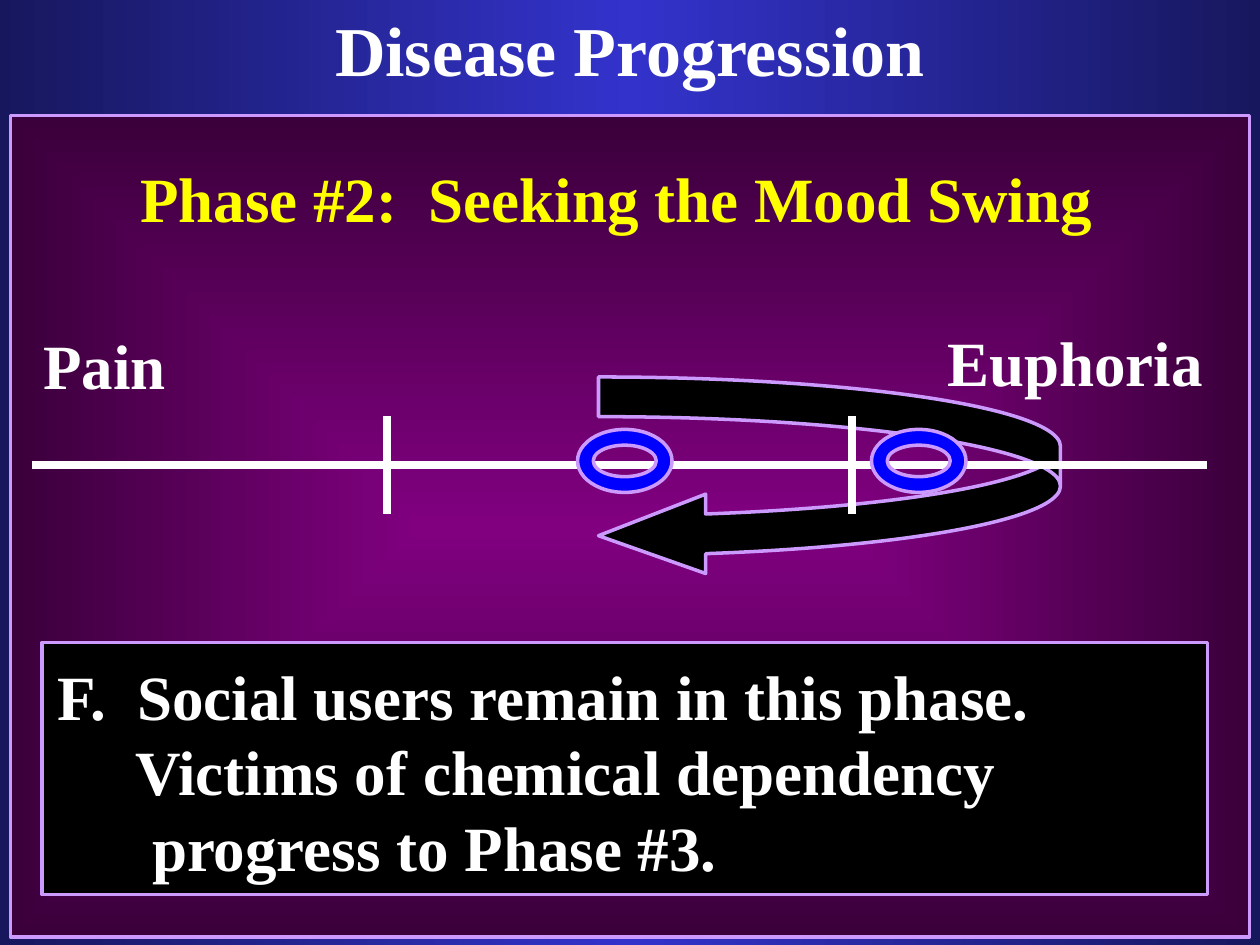
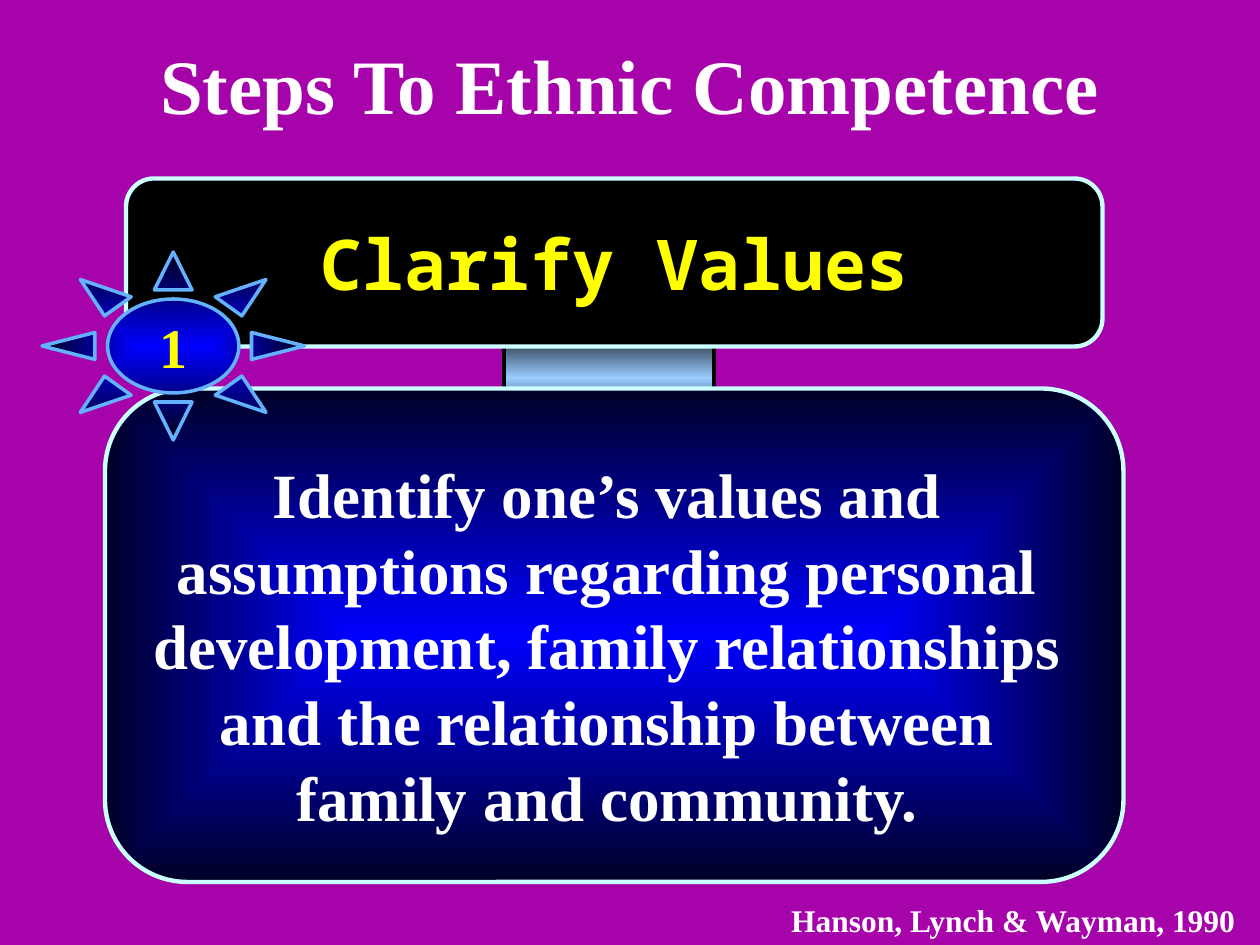
"""Build two training slides: disease progression and ethnic competence."""
from lxml.etree import SubElement
from pptx import Presentation
from pptx.dml.color import RGBColor
from pptx.enum.shapes import MSO_CONNECTOR, MSO_SHAPE
from pptx.enum.text import MSO_ANCHOR, PP_ALIGN
from pptx.oxml.ns import qn
from pptx.util import Inches, Pt

COLS, ROWS = 120, 90
WIDTH, HEIGHT = Inches(10), Inches(7.5)
SERIF, MONO = "Times New Roman", "Noto Sans Mono"
COLORS = {
    "white": "FFFFFF", "yellow": "FFFF00", "black": "000000", "blue": "0000FF",
    "navy": "17175E", "royal": "3333CC", "purple": "800080", "plum": "3B003B",
    "lilac": "CC99FF", "magenta": "A603AB", "ice": "CCFFFF", "sky": "99CCFF",
    "midnight": "000026", "ink": "000016", "azure": "63B1FF",
}


def rgb(name):
    """Return a named colour."""
    return RGBColor.from_string(COLORS[name])


def col(n):
    """Convert grid columns to a length."""
    return round(n * WIDTH / COLS)


def row(n):
    """Convert grid rows to a length."""
    return round(n * HEIGHT / ROWS)


def place(left, top, width, height):
    """Convert a grid box to lengths."""
    return col(left), row(top), col(width), row(height)


def set_gradient(owner, fill, names, angle=None):
    """Spread colours evenly, along an angle or outward from the centre."""
    fill.gradient()
    grad = owner.element.find(".//" + qn("a:gradFill"))
    for child in list(grad):
        grad.remove(child)
    stops = SubElement(grad, qn("a:gsLst"))
    for i, name in enumerate(names):
        pos = 100000 * i // (len(names) - 1)
        stop = SubElement(stops, qn("a:gs"), pos=str(pos))
        SubElement(stop, qn("a:srgbClr"), val=COLORS[name])
    if angle is None:
        centre = SubElement(grad, qn("a:path"), path="rect")
        SubElement(centre, qn("a:fillToRect"), dict.fromkeys("ltrb", "50000"))
    else:
        SubElement(grad, qn("a:lin"), ang=str(angle * 60000), scaled="0")


def write(sp, lines, size, color="white", font=SERIF, align=PP_ALIGN.CENTER,
          anchor=MSO_ANCHOR.MIDDLE, wrap=False):
    """Write bold paragraphs into a shape."""
    tf = sp.text_frame
    tf.word_wrap = wrap
    tf.vertical_anchor = anchor
    for i, line in enumerate(lines):
        p = tf.paragraphs[0] if i == 0 else tf.add_paragraph()
        p.text, p.alignment = line, align
        p.font.name, p.font.size, p.font.bold = font, Pt(size), True
        p.font.color.rgb = rgb(color)
    return tf


def add_text(slide, box, lines, size, **style):
    """Add a text box."""
    return write(slide.shapes.add_textbox(*place(*box)), lines, size, **style)


def add_figure(slide, kind, box, fill, line, weight=2, angle=None, adjust=()):
    """Add an outlined shape with a plain fill or a gradient."""
    sp = slide.shapes.add_shape(kind, *place(*box))
    sp.shadow.inherit = False
    if isinstance(fill, str):
        sp.fill.solid()
        sp.fill.fore_color.rgb = rgb(fill)
    else:
        set_gradient(sp, sp.fill, fill, angle)
    sp.line.color.rgb, sp.line.width = rgb(line), Pt(weight)
    for i, value in enumerate(adjust):
        sp.adjustments[i] = value
    return sp


def add_rule(slide, x1, y1, x2, y2):
    """Add a thick white straight line."""
    line = slide.shapes.add_connector(
        MSO_CONNECTOR.STRAIGHT, col(x1), row(y1), col(x2), row(y2))
    line.line.color.rgb, line.line.width = rgb("white"), Pt(4.5)
    SubElement(line.element.spPr, qn("a:effectLst"))


def add_title(slide, top, height, text, size):
    """Add a title across the whole slide."""
    add_text(slide, (0, top, COLS, height), [text], size, wrap=True)


def set_indents(tf, indents):
    """Set left and first-line indents, in columns, for each paragraph."""
    for p, (left, first) in zip(tf.paragraphs, indents):
        pPr = p._p.get_or_add_pPr()
        pPr.set("marL", str(col(left)))
        pPr.set("indent", str(col(first)))


def build_progression(slide):
    """Build the mood swing scale."""
    set_gradient(slide, slide.background.fill, ("navy", "royal", "navy"), 180)
    add_figure(slide, MSO_SHAPE.RECTANGLE, (1, 11, 118, 78.25), ("purple", "plum"),
               "lilac")
    add_figure(slide, MSO_SHAPE.RECTANGLE, (4, 61.2, 111, 24), "black", "lilac")
    add_figure(slide, MSO_SHAPE.CURVED_LEFT_ARROW, (57, 35.9, 44, 18.9), "black",
               "lilac", adjust=(0.2, 0.4, 0.54))
    add_rule(slide, 3, 44.3, 115, 44.3)
    for x in (36.85, 81.15):
        add_rule(slide, x, 39.6, x, 49)
    for label, left, top, width in (("Pain", 2.95, 30.5, 17), ("Euphoria", 89.05, 30.25, 29)):
        add_text(slide, (left, top, width, 8.4), [label], 36, align=PP_ALIGN.LEFT,
                 wrap=True)
    for left in (83, 55):
        add_figure(slide, MSO_SHAPE.DONUT, (left, 40.9, 9, 6), "blue", "lilac",
                   adjust=(0.25,))
    add_title(slide, 0, 9.2, "Disease Progression", 40)
    add_text(slide, (1.2, 14.6, 115, 8.4), ["Phase #2:  Seeking the Mood Swing"], 36,
             color="yellow", wrap=True)
    tf = add_text(slide, (4.3, 62, 98.5, 22.8),
                  ["F.\tSocial users remain in this phase.",
                   "Victims of chemical dependency",
                   "progress to Phase #3."],
                  36, align=PP_ALIGN.LEFT, anchor=MSO_ANCHOR.TOP)
    set_indents(tf, ((7.6, -7.6), (7.4, 0), (9, 0)))


def build_competence(slide):
    """Build the first step to ethnic competence."""
    slide.background.fill.solid()
    slide.background.fill.fore_color.rgb = rgb("magenta")
    add_figure(slide, MSO_SHAPE.RECTANGLE, (48, 31, 20, 10), ("black", "sky", "black"),
               "black", 2.5, angle=90)
    add_figure(slide, MSO_SHAPE.ROUNDED_RECTANGLE, (10, 37, 97, 47),
               ("blue", "midnight"), "ice", 2.5)
    step = add_figure(slide, MSO_SHAPE.ROUNDED_RECTANGLE, (12, 17, 93, 16),
                      "black", "ice", 2.5)
    write(step, ["Clarify Values"], 40, color="yellow", font=MONO)
    add_title(slide, 3, 10, "Steps To Ethnic Competence", 44)
    add_text(slide, (12.2, 42.8, 91.2, 37.2),
             ["Identify one’s values and assumptions regarding personal development, "
              "family relationships and the relationship between family and community."],
             36, wrap=True)
    sun = add_figure(slide, MSO_SHAPE.SUN, (4, 24, 25, 17.9), ("blue", "ink"), "azure")
    write(sun, ["1"], 32, color="yellow")
    add_text(slide, (74, 85.2, 45, 4.8), ["Hanson, Lynch & Wayman, 1990"], 18)


def main():
    """Build and save the slides."""
    prs = Presentation()
    prs.slide_width, prs.slide_height = WIDTH, HEIGHT
    for build in (build_progression, build_competence):
        build(prs.slides.add_slide(prs.slide_layouts[6]))
    prs.save("out.pptx")


if __name__ == "__main__":
    main()
